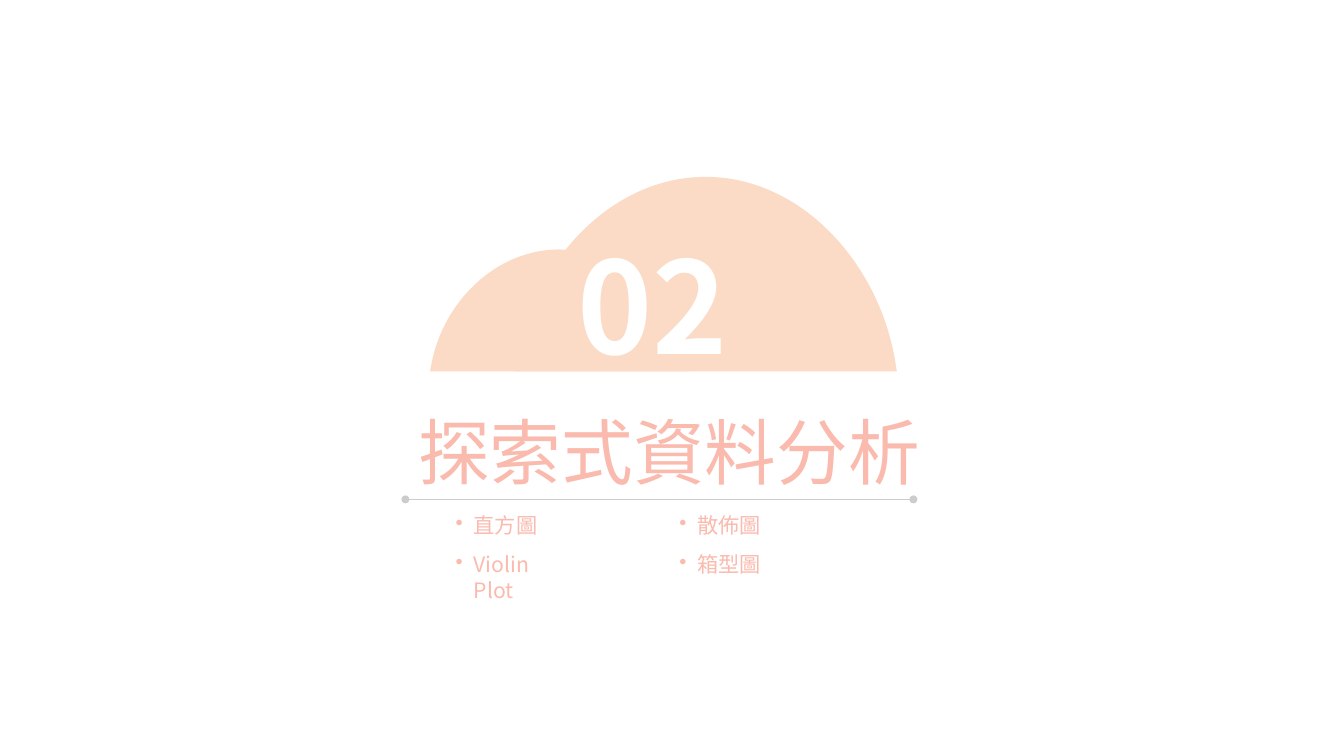
from dataclasses import dataclass

from lxml import etree
from pptx import Presentation
from pptx.dml.color import RGBColor
from pptx.enum.shapes import MSO_CONNECTOR
from pptx.enum.text import PP_ALIGN
from pptx.oxml.ns import qn
from pptx.util import Cm, Pt

STRAIGHT = MSO_CONNECTOR.STRAIGHT
LEFT = PP_ALIGN.LEFT
CENTER = PP_ALIGN.CENTER


@dataclass(frozen=True)
class Theme:
    """Colours, typeface and type sizes of the section slide."""

    font: str = "Noto Sans CJK SC"
    cloud: RGBColor = RGBColor(0xFB, 0xDB, 0xC6)
    text: RGBColor = RGBColor(0xFA, 0xBA, 0xAE)
    rule: RGBColor = RGBColor(0xCC, 0xCC, 0xCC)
    white: RGBColor = RGBColor(0xFF, 0xFF, 0xFF)
    number_size: int = 96
    title_size: int = 54
    topic_size: int = 16


THEME = Theme()
CLOUD_BASE = 9.87
DOME_SIDE = ((1, 1), (0.99, 0.94), (0.9, 0.43), (0.49, 0))
TOPIC_COLUMNS = (("直方圖", "Violin Plot"), ("散佈圖", "箱型圖"))


def curve_segments(shape, first_segments):
    """Turn each run of three line segments into one cubic curve."""
    segments = list(shape._element.iter(qn("a:lnTo")))
    for first in first_segments:
        curve = etree.Element(qn("a:cubicBezTo"))
        segments[first].addprevious(curve)
        for segment in segments[first:first + 3]:
            curve.append(segment[0])
            segment.getparent().remove(segment)


def add_dome(slide, center, top, half_width):
    """Draw a symmetric dome that stands on the cloud base."""
    left_side = [(-across, down) for across, down in DOME_SIDE]
    outline = left_side + [(0, 0)] + list(reversed(DOME_SIDE))
    height = CLOUD_BASE - top
    points = [(Cm(center + half_width * across), Cm(top + height * down))
              for across, down in outline]
    builder = slide.shapes.build_freeform(*points[0])
    builder.add_line_segments(points[1:], close=True)
    dome = builder.convert_to_shape()
    curve_segments(dome, first_segments=(1, 4))
    dome.shadow.inherit = False
    dome.fill.solid()
    dome.fill.fore_color.rgb = THEME.cloud
    dome.line.fill.background()


def add_dotted_end_rule(slide, left, right, y):
    """Draw a thin horizontal rule with a round dot at each end."""
    rule = slide.shapes.add_connector(STRAIGHT, Cm(left), Cm(y), Cm(right), Cm(y))
    rule.line.color.rgb = THEME.rule
    rule.line.width = Pt(1)
    for end in ("a:headEnd", "a:tailEnd"):
        etree.SubElement(rule.line._get_or_add_ln(), qn(end), type="oval")
    etree.SubElement(rule._element.spPr, qn("a:effectLst"))


def add_text(slide, text, box, size, color, inset=(0, 0), align=LEFT):
    """Add a one-paragraph text box and return its paragraph."""
    frame = slide.shapes.add_textbox(*(Cm(length) for length in box)).text_frame
    frame.word_wrap = True
    frame.margin_left = frame.margin_right = Cm(inset[0])
    frame.margin_top = frame.margin_bottom = Cm(inset[1])
    paragraph = frame.paragraphs[0]
    paragraph.text = text
    paragraph.alignment = align
    paragraph.font.size = Pt(size)
    paragraph.font.color.rgb = color
    paragraph.font.name = THEME.font
    defaults = paragraph._p.pPr.find(qn("a:defRPr"))
    etree.SubElement(defaults, qn("a:ea"), typeface=THEME.font)
    return paragraph


def add_topic(slide, text, left, top):
    """Add one bulleted topic with a hanging indent."""
    paragraph = add_text(slide, text, (left, top, 3.35, 0.94), THEME.topic_size,
                         THEME.text, inset=(0.25, 0.13))
    properties = paragraph._p.pPr
    properties.set("marL", str(Cm(0.48)))
    properties.set("indent", str(Cm(-0.48)))
    bullet = etree.Element(qn("a:buChar"), char="•")
    properties.find(qn("a:defRPr")).addprevious(bullet)


def main():
    """Build the section slide and save it."""
    presentation = Presentation()
    presentation.slide_width = Cm(35.71)
    presentation.slide_height = Cm(20.09)
    slide = presentation.slides.add_slide(presentation.slide_layouts[6])

    add_dome(slide, center=18.75, top=4.7, half_width=5.08)
    add_dome(slide, center=14.86, top=6.63, half_width=3.43)
    number = add_text(slide, "02", (14.84, 6.04, 5, 4.9), THEME.number_size,
                      THEME.white, align=CENTER)
    number.font.bold = True
    add_dotted_end_rule(slide, left=10.77, right=24.27, y=13.27)
    add_text(slide, "探索式資料分析", (11.11, 10.85, 13.51, 2.31), THEME.title_size,
             THEME.text)
    for column, topics in enumerate(TOPIC_COLUMNS):
        for row, topic in enumerate(topics):
            add_topic(slide, topic, 11.86 + 5.94 * column, 13.49 + 1.04 * row)

    presentation.save("out.pptx")


if __name__ == "__main__":
    main()
